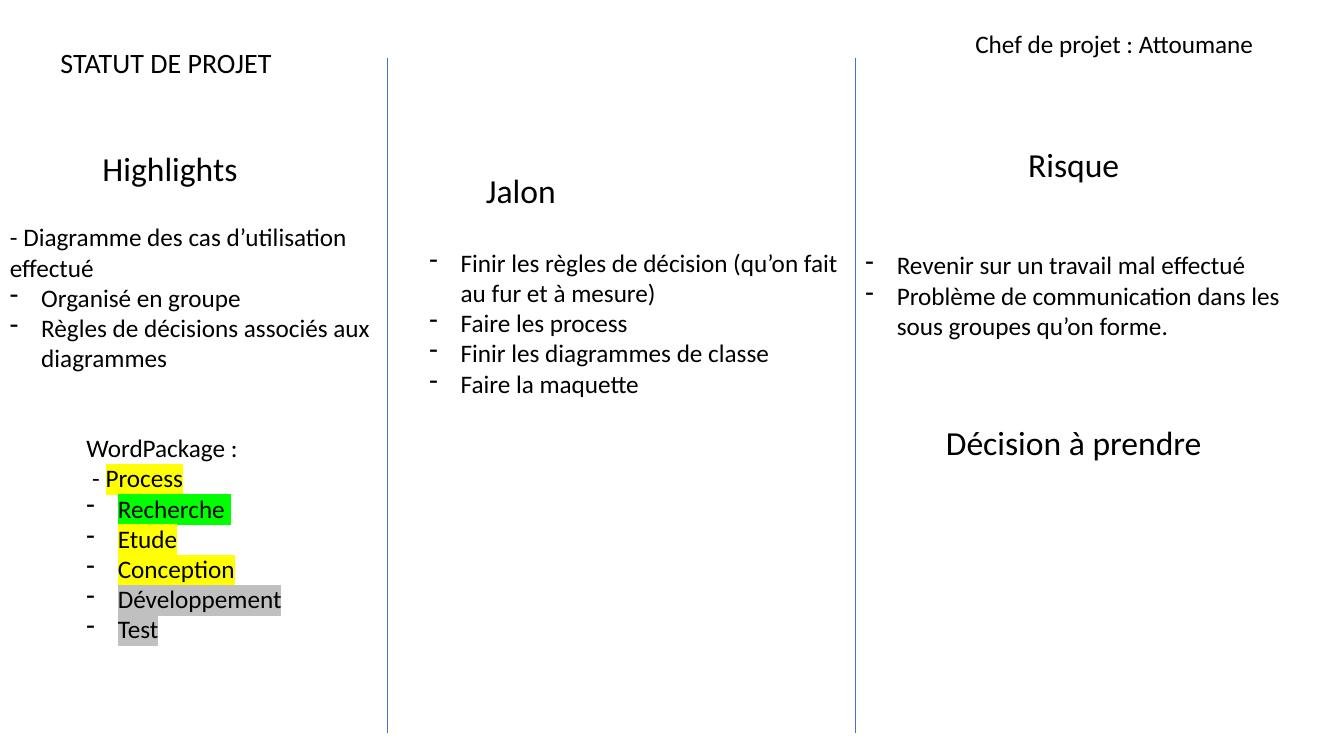
from lxml import etree
from pptx import Presentation
from pptx.dml.color import RGBColor
from pptx.enum.shapes import MSO_CONNECTOR
from pptx.enum.text import MSO_ANCHOR, PP_ALIGN
from pptx.oxml.ns import qn
from pptx.util import Cm, Pt

CENTER = PP_ALIGN.CENTER
TOP, BOTTOM = MSO_ANCHOR.TOP, MSO_ANCHOR.BOTTOM
STRAIGHT = MSO_CONNECTOR.STRAIGHT

BLACK = RGBColor(0x00, 0x00, 0x00)
BLUE = RGBColor(0x44, 0x72, 0xC4)
YELLOW = RGBColor(0xFF, 0xFF, 0x00)
GREEN = RGBColor(0x00, 0xFF, 0x00)
GREY = RGBColor(0xC0, 0xC0, 0xC0)

FONT = "Calibri"
SLIDE_W, SLIDE_H = 33.87, 19.05
DIVIDERS = (9.75, 21.56)
LIST_W = 11
HEADING_W, HEADING_H = 8.1, 1.35


def add_box(s, left, top, width, height, anchor=TOP):
    tf = s.shapes.add_textbox(Cm(left), Cm(top), Cm(width), Cm(height)).text_frame
    tf.word_wrap = True
    tf.vertical_anchor = anchor
    return tf


def add_run(p, text, size, highlight=None):
    r = p.add_run()
    r.text = text
    r.font.size = Pt(size)
    r.font.name = FONT
    r.font.color.rgb = BLACK
    if highlight is not None:
        mark = etree.Element(qn("a:highlight"))
        etree.SubElement(mark, qn("a:srgbClr"), val=str(highlight))
        r.font.fill._xPr.find(qn("a:latin")).addprevious(mark)


def add_bullet(p):
    pPr = p._p.get_or_add_pPr()
    pPr.set("marL", str(Cm(0.79)))
    pPr.set("indent", str(-Cm(0.79)))
    etree.SubElement(pPr, qn("a:buFontTx"))
    etree.SubElement(pPr, qn("a:buChar"), char="-")


def add_heading(s, text, left, top, width=HEADING_W, height=HEADING_H, size=24, anchor=TOP):
    p = add_box(s, left, top, width, height, anchor).paragraphs[0]
    p.alignment = CENTER
    p.line_spacing = 0.9
    add_run(p, text, size)


def add_list(s, left, top, width, height, bullets, intro=()):
    tf = add_box(s, left, top, width, height)
    rows = [(runs, False) for runs in intro] + [([item], True) for item in bullets]
    for i, (runs, bulleted) in enumerate(rows):
        p = tf.add_paragraph() if i else tf.paragraphs[0]
        if bulleted:
            add_bullet(p)
        for text, highlight in runs:
            add_run(p, text, 18, highlight)


def plain(*texts):
    return [(text, None) for text in texts]


def add_divider(s, x, top, bottom):
    line = s.shapes.add_connector(STRAIGHT, Cm(x), Cm(top), Cm(x), Cm(bottom))
    line.line.color.rgb = BLUE
    line.line.width = Pt(0.5)
    etree.SubElement(line._element.spPr, qn("a:effectLst"))


def add_highlights_column(s, left, top):
    add_heading(s, "STATUT DE PROJET ", left, top + 0.38, 8.53, 1.75, 20, BOTTOM)
    add_heading(s, "Highlights ", left + 0.33, top + 3.71)
    add_list(s, left, top + 5.46, LIST_W, 4.88,
             plain("Organisé en groupe", "Règles de décisions associés aux diagrammes"),
             [plain("- Diagramme des cas d’utilisation effectué")])
    add_list(s, left + 1.93, top + 10.77, 6.38, 5.64,
             [("Recherche ", GREEN), ("Etude", YELLOW), ("Conception", YELLOW),
              ("Développement", GREY), ("Test", GREY)],
             [plain("WordPackage :"), [(" - ", None), ("Process", YELLOW)]])


def add_milestone_column(s, left, top):
    add_heading(s, "Jalon ", left - 0.58, top + 4.27)
    add_list(s, left + 0.82, top + 6.1, LIST_W, 4.11,
             plain("Finir les règles de décision (qu’on fait au fur et à mesure)",
                   "Faire les process", "Finir les diagrammes de classe",
                   "Faire la maquette"))


def add_risk_column(s, left, top):
    manager = add_box(s, left + 2.77, top + 0.58, LIST_W, 1.8)
    add_run(manager.paragraphs[0], "Chef de projet : Attoumane", 18)
    add_heading(s, "Risque", left + 1.45, top + 3.61)
    add_list(s, left, top + 6.17, LIST_W, 3.33,
             plain("Revenir sur un travail mal effectué",
                   "Problème de communication dans les sous groupes qu’on forme."))
    add_heading(s, "Décision à prendre", left + 1.45, top + 10.62)


def main():
    prs = Presentation()
    prs.slide_width, prs.slide_height = Cm(SLIDE_W), Cm(SLIDE_H)
    s = prs.slides.add_slide(prs.slide_layouts[6])
    add_highlights_column(s, 0, 0)
    add_milestone_column(s, DIVIDERS[0], 0)
    add_risk_column(s, DIVIDERS[1], 0)
    for x in DIVIDERS:
        add_divider(s, x, 1.47, 18.47)
    prs.save("out.pptx")


if __name__ == "__main__":
    main()
